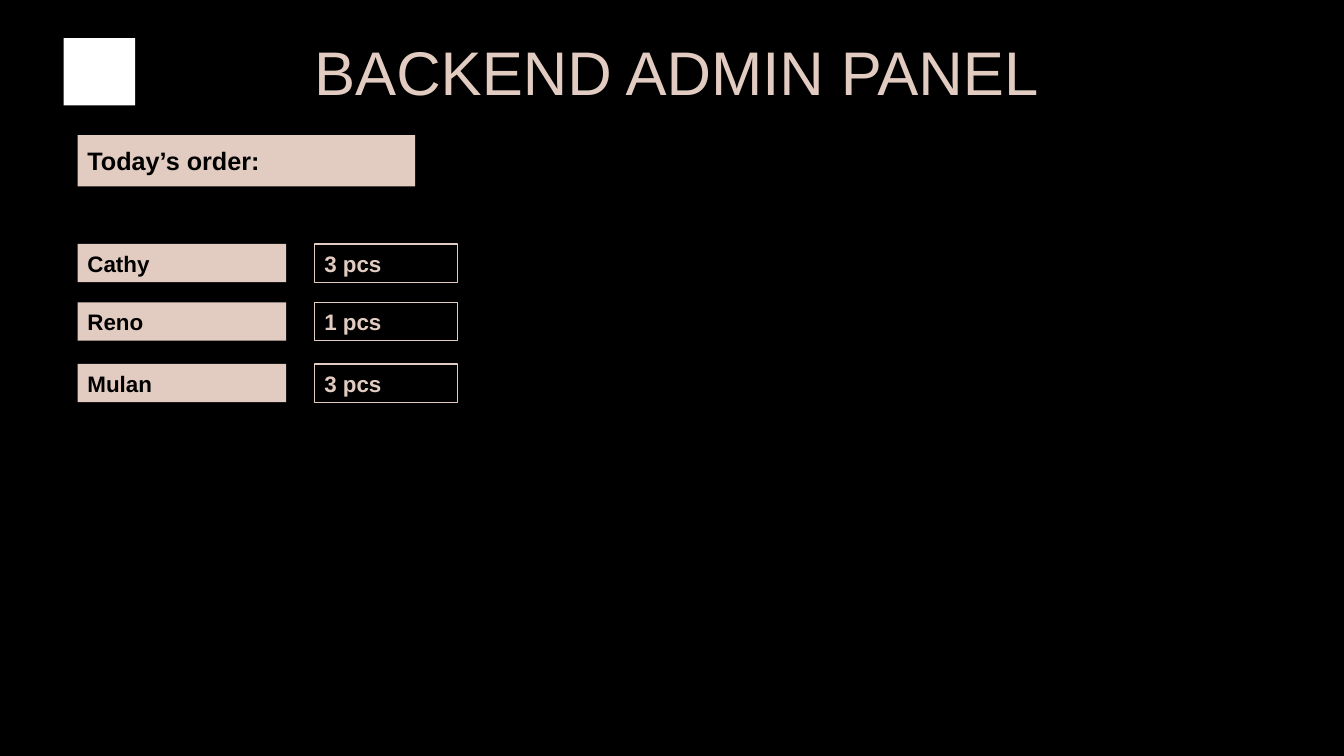
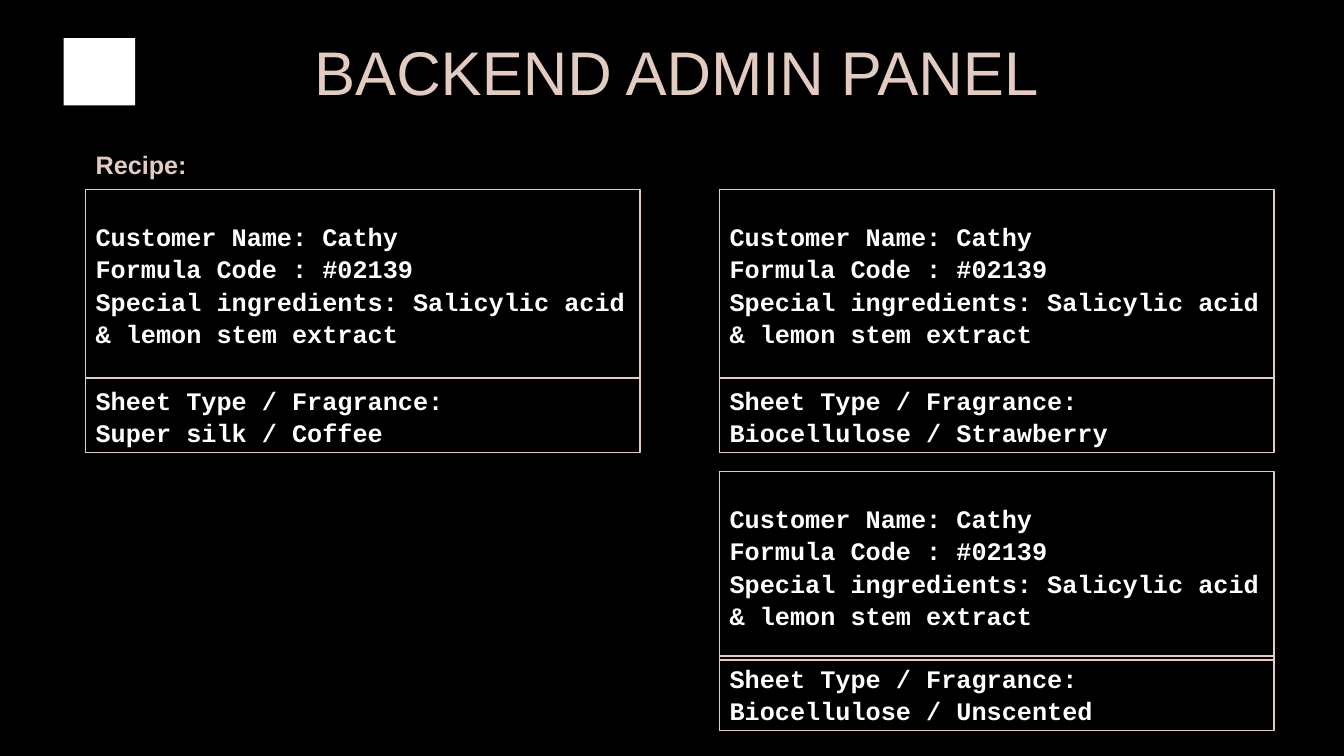
from pptx import Presentation
from pptx.dml.color import RGBColor
from pptx.enum.shapes import MSO_SHAPE as Shape
from pptx.enum.text import MSO_ANCHOR as Anchor, PP_ALIGN as Align
from pptx.util import Pt

COLORS = {"black": "000000", "white": "FFFFFF", "blush": "E2CCC1"}
SANS, MONO = "Arial", "Courier New"
BLANK_LAYOUT = 6

ORDERS = [("Cathy", "3 pcs", 0), ("Reno", "1 pcs", 41.8), ("Mulan", "3 pcs", 85.7)]
FORMULA = [
    "Customer Name: Cathy",
    "Formula Code : #02139",
    "Special ingredients: Salicylic acid & lemon stem extract",
]
LEFT_CARD, RIGHT_CARD = 61.2, 514.1
RECIPES = [
    ("Super silk / Coffee", (LEFT_CARD, 135.4, 396, 187.9)),
    ("Biocellulose / Strawberry", (RIGHT_CARD, 135.4, 396, 187.9)),
    ("Biocellulose / Unscented", (RIGHT_CARD, 337, 396, 185)),
]


def color(name):
    return RGBColor.from_string(COLORS[name])


def write(shape, lines, size, ink, font=SANS, bold=True, spacing=None):
    frame = shape.text_frame
    frame.word_wrap = True
    frame.vertical_anchor = Anchor.MIDDLE
    for index, line in enumerate(lines):
        paragraph = frame.paragraphs[0] if index == 0 else frame.add_paragraph()
        paragraph.text = line
        paragraph.alignment = Align.LEFT
        if spacing:
            paragraph.line_spacing = spacing
        paragraph.font.name = font
        paragraph.font.size = Pt(size)
        paragraph.font.bold = bold
        paragraph.font.color.rgb = color(ink)


def add_label(slide, box, text, size, ink="blush", bold=True):
    label = slide.shapes.add_textbox(*map(Pt, box))
    write(label, [text], size, ink, bold=bold)


def add_box(slide, box, fill=None, line=None):
    panel = slide.shapes.add_shape(Shape.RECTANGLE, *map(Pt, box))
    panel.shadow.inherit = False
    if fill:
        panel.fill.solid()
        panel.fill.fore_color.rgb = color(fill)
    else:
        panel.fill.background()
    if line:
        panel.line.color.rgb = color(line)
        panel.line.width = Pt(1)
    else:
        panel.line.fill.background()
    return panel


def add_admin_slide(deck):
    """Black slide with the shared white square and title."""
    slide = deck.slides.add_slide(deck.slide_layouts[BLANK_LAYOUT])
    slide.background.fill.solid()
    slide.background.fill.fore_color.rgb = color("black")
    add_box(slide, (45.4, 27.2, 51.1, 48.2), fill="white")
    add_label(slide, (217.4, 18.7, 628.6, 64.1), "BACKEND ADMIN PANEL", 44, bold=False)
    return slide


def add_order_row(slide, box, customer, quantity):
    left, top, width, height = box
    quantity_width = 102.2
    name = add_box(slide, (left, top, 149, height), fill="blush")
    write(name, [customer], 16, "black")
    quantity_left = left + width - quantity_width
    count = add_box(slide, (quantity_left, top, quantity_width, height), line="blush")
    write(count, [quantity], 16, "blush")


def add_recipe_card(slide, box, sheet):
    """Formula at the top of the box, sheet type against its bottom edge."""
    left, top, width, height = box
    sheet_height = 53.3
    formula_box = (left, top, width, 134.6)
    sheet_box = (left, top + height - sheet_height, width, sheet_height)
    sheet_lines = ["Sheet Type / Fragrance:", sheet]
    for part, lines in ((formula_box, FORMULA), (sheet_box, sheet_lines)):
        panel = add_box(slide, part, line="blush")
        write(panel, lines, 18, "white", font=MONO, spacing=1.07)


def build_orders(deck):
    slide = add_admin_slide(deck)
    left = 55.4
    heading = add_box(slide, (left, 96.5, 241.2, 36.7), fill="blush")
    write(heading, ["Today’s order:"], 18, "black")
    for customer, quantity, offset in ORDERS:
        add_order_row(slide, (left, 174.2 + offset, 271.4, 27.4), customer, quantity)


def build_recipes(deck):
    slide = add_admin_slide(deck)
    add_label(slide, (LEFT_CARD, 105.1, 375.1, 24.5), "Recipe:", 18)
    for sheet, box in RECIPES:
        add_recipe_card(slide, box, sheet)


def main():
    deck = Presentation()
    deck.slide_width, deck.slide_height = Pt(960), Pt(540)
    build_orders(deck)
    build_recipes(deck)
    deck.save("out.pptx")


if __name__ == "__main__":
    main()
